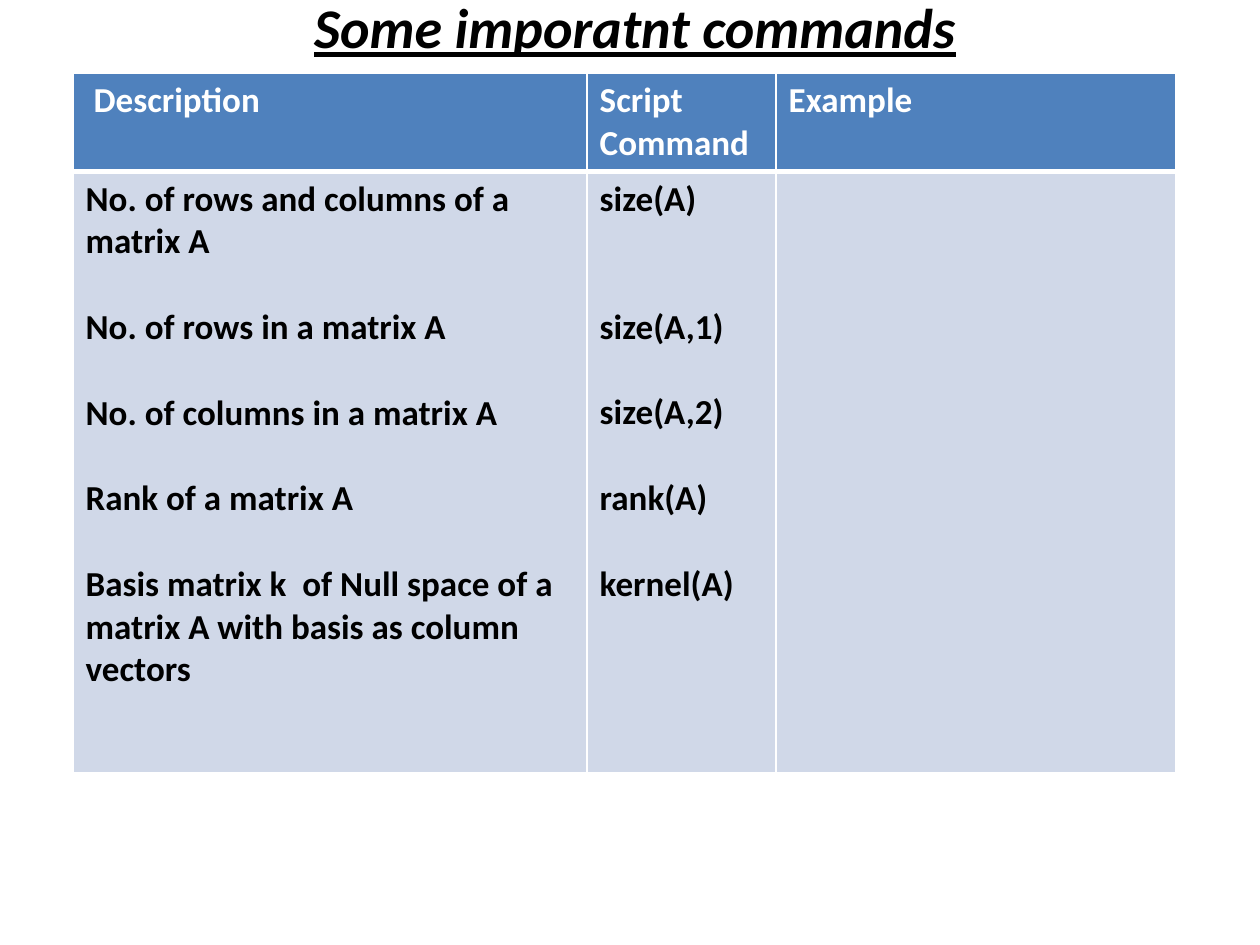
from typing import NamedTuple

from lxml.etree import SubElement
from pptx import Presentation
from pptx.dml.color import RGBColor
from pptx.enum.text import MSO_ANCHOR, PP_ALIGN
from pptx.oxml.ns import qn
from pptx.util import Inches, Pt

COLORS = {"black": "000000", "white": "FFFFFF", "header": "4F81BD", "body": "D0D8E8"}
LINE = 24.4  # height in points of one 20 pt line


class Column(NamedTuple):
    heading: str
    width: float
    entries: list[str]
    gaps: list[int]  # empty lines above each entry


COLUMNS = [
    Column(" Description", 4.08, [
        "No. of rows and columns of a matrix A",
        "No. of rows in a matrix A",
        "No. of columns in a matrix A",
        "Rank of a matrix A",
        "Basis matrix k  of Null space of a matrix A with basis as column vectors",
    ], [0, 1, 1, 1, 1]),
    Column("Script Command", 1.5,
           ["size(A)", "size(A,1)", "size(A,2)", "rank(A)", "kernel(A)"],
           [0, 2, 1, 1, 1]),
    Column("Example", 3.17, [], []),
]
ROW_HEIGHTS = [0.78, 4.77]


def add_run(p, text: str, color: str, **formats) -> None:
    r = p.add_run()
    r.text = text
    for name, value in {"name": "Calibri", "bold": True, **formats}.items():
        setattr(r.font, name, value)
    r.font.color.rgb = RGBColor.from_string(COLORS[color])


def set_borders(cell, widths: dict[str, float]) -> None:
    tc_pr = cell._tc.get_or_add_tcPr()
    for side, width in widths.items():
        ln = SubElement(tc_pr, qn(f"a:ln{side}"), w=str(Pt(width)))
        fill = SubElement(ln, qn("a:solidFill"))
        SubElement(fill, qn("a:srgbClr"), val=COLORS["white"])


def fill_cell(cell, entries: list[str], gaps: list[int], color: str,
              fill: str, borders: dict[str, float]) -> None:
    set_borders(cell, borders)  # borders come before the fill in the cell XML
    cell.fill.solid()
    cell.fill.fore_color.rgb = RGBColor.from_string(COLORS[fill])
    tf = cell.text_frame
    for i, (text, gap) in enumerate(zip(entries, gaps)):
        p = tf.add_paragraph() if i else tf.paragraphs[0]
        p.space_before = Pt(gap * LINE)
        add_run(p, text, color, size=Pt(20))


def add_title(slide, text: str) -> None:
    sp = slide.shapes.add_textbox(Inches(0.25), Inches(0), Inches(9.58), Inches(0.42))
    tf = sp.text_frame
    tf.word_wrap = True
    tf.vertical_anchor = MSO_ANCHOR.MIDDLE
    p = tf.paragraphs[0]
    p.alignment = PP_ALIGN.CENTER
    add_run(p, text, "black", size=Pt(32), italic=True, underline=True)


def add_command_table(slide, columns: list[Column]) -> None:
    frame = slide.shapes.add_table(
        len(ROW_HEIGHTS), len(columns), Inches(0.58), Inches(0.58),
        Inches(sum(c.width for c in columns)), Inches(sum(ROW_HEIGHTS)))
    table = frame.table
    for row, height in zip(table.rows, ROW_HEIGHTS):
        row.height = Inches(height)
    for i, column in enumerate(columns):
        table.columns[i].width = Inches(column.width)
        fill_cell(table.cell(0, i), [column.heading], [0], "white", "header",
                  {"L": 1, "R": 1, "T": 1, "B": 3})
        fill_cell(table.cell(1, i), column.entries, column.gaps, "black", "body",
                  {"L": 1, "R": 1, "T": 3, "B": 1})


def main() -> None:
    prs = Presentation()
    prs.slide_width, prs.slide_height = Inches(10), Inches(7.5)
    slide = prs.slides.add_slide(prs.slide_layouts[6])
    # Title
    add_title(slide, "Some imporatnt commands")
    # Command table
    add_command_table(slide, COLUMNS)
    prs.save("out.pptx")


if __name__ == "__main__":
    main()
